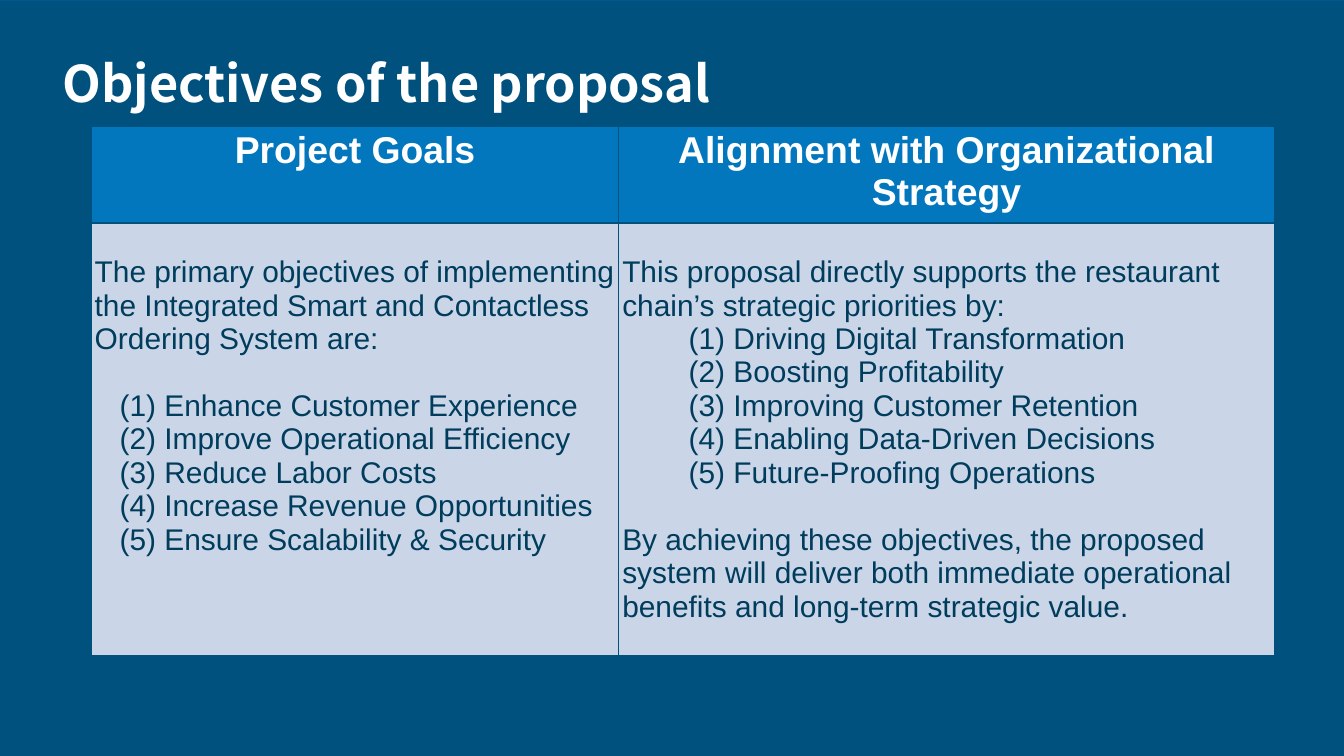
from lxml.etree import SubElement
from pptx import Presentation
from pptx.dml.color import RGBColor
from pptx.enum.shapes import MSO_SHAPE
from pptx.enum.text import MSO_ANCHOR, PP_ALIGN
from pptx.oxml.ns import qn
from pptx.util import Cm, Pt

# Content: each body line is (text, is item, gap before in points)
TITLE = "Objectives of the proposal"
GAP = 35.75
COLS = [
    {
        "head": "Project Goals", "width": 19.94, "indent": 0.94,
        "body": [
            ("The primary objectives of implementing the Integrated Smart "
             "and Contactless Ordering System are:", False, 0),
            ("(1) Enhance Customer Experience", True, GAP),
            ("(2) Improve Operational Efficiency", True, 0),
            ("(3) Reduce Labor Costs", True, 0),
            ("(4) Increase Revenue Opportunities", True, 0),
            ("(5) Ensure Scalability & Security", True, 0),
        ],
    },
    {
        "head": "Alignment with Organizational Strategy",
        "width": 24.77, "indent": 2.51,
        "body": [
            ("This proposal directly supports the restaurant chain’s "
             "strategic priorities by:", False, 0),
            ("(1) Driving Digital Transformation", True, 0),
            ("(2) Boosting Profitability", True, 0),
            ("(3) Improving Customer Retention", True, 0),
            ("(4) Enabling Data-Driven Decisions", True, 0),
            ("(5) Future-Proofing Operations", True, 0),
            ("By achieving these objectives, the proposed system will deliver "
             "both immediate operational benefits and long-term strategic "
             "value.", False, GAP),
        ],
    },
]
HEX = {"page": "F1EBE5", "back": "00517D", "edge": "01598E", "rule": "00517C",
       "head": "0277BD", "body": "CAD5E7", "ink": "003D5D", "white": "FFFFFF"}
HIGH = [3.37, 16.35]


def tint(name):
    return RGBColor.from_string(HEX[name])


def add_run(para, text, size, face, color, bold):
    run = para.add_run()
    run.text = text
    font = run.font
    font.size, font.name, font.bold = Pt(size), face, bold
    font.color.rgb = tint(color)


def style(cell, fill, top, base):
    cell.margin_left = cell.margin_right = cell.margin_bottom = Cm(0.13)
    cell.margin_top = Cm(top)
    props = cell._tc.get_or_add_tcPr()
    for side, wide in (("L", 1), ("R", 1), ("T", 1), ("B", base)):
        line = SubElement(props, qn(f"a:ln{side}"), w=str(Pt(wide)))
        solid = SubElement(line, qn("a:solidFill"))
        SubElement(solid, qn("a:srgbClr"), val=HEX["rule"])
    cell.fill.solid()
    cell.fill.fore_color.rgb = tint(fill)


deck = Presentation()
deck.slide_width, deck.slide_height = Cm(50.8), Cm(28.58)
slide = deck.slides.add_slide(deck.slide_layouts[6])

# Background
slide.background.fill.solid()
slide.background.fill.fore_color.rgb = tint("page")
back = slide.shapes.add_shape(MSO_SHAPE.RECTANGLE, Cm(-0.53), Cm(0),
                              Cm(52.68), Cm(29.03))
back.shadow.inherit = False
back.fill.solid()
back.fill.fore_color.rgb = tint("back")
back.line.color.rgb = tint("edge")
back.line.width = Pt(2)

# Title
box = slide.shapes.add_textbox(Cm(1.85), Cm(0), Cm(29.36), Cm(4.78))
frame = box.text_frame
frame.word_wrap = True
frame.vertical_anchor = MSO_ANCHOR.BOTTOM
frame.margin_left = frame.margin_right = Cm(0.51)
frame.margin_top = frame.margin_bottom = Cm(0.51)
add_run(frame.paragraphs[0], TITLE, 54, "Noto Sans CJK SC", "white", True)

# Table
wide = sum(col["width"] for col in COLS)
table = slide.shapes.add_table(len(HIGH), len(COLS), Cm(3.45), Cm(4.78),
                               Cm(wide), Cm(sum(HIGH))).table
for row, high in zip(table.rows, HIGH):
    row.height = Cm(high)

for i, col in enumerate(COLS):
    table.columns[i].width = Cm(col["width"])

    # Header cell
    cell = table.cell(0, i)
    style(cell, "head", 0.13, 3)
    para = cell.text_frame.paragraphs[0]
    para.alignment = PP_ALIGN.CENTER
    add_run(para, col["head"], 40, "Arial", "white", True)

    # Body cell
    cell = table.cell(1, i)
    style(cell, "body", 1.23, 1)
    frame = cell.text_frame
    for j, (text, item, gap) in enumerate(col["body"]):
        para = frame.add_paragraph() if j else frame.paragraphs[0]
        para.space_before = Pt(gap)
        if item:
            para._p.get_or_add_pPr().set("marL", str(Cm(col["indent"])))
        add_run(para, text, 32, "Arial", "ink", False)

deck.save("out.pptx")
